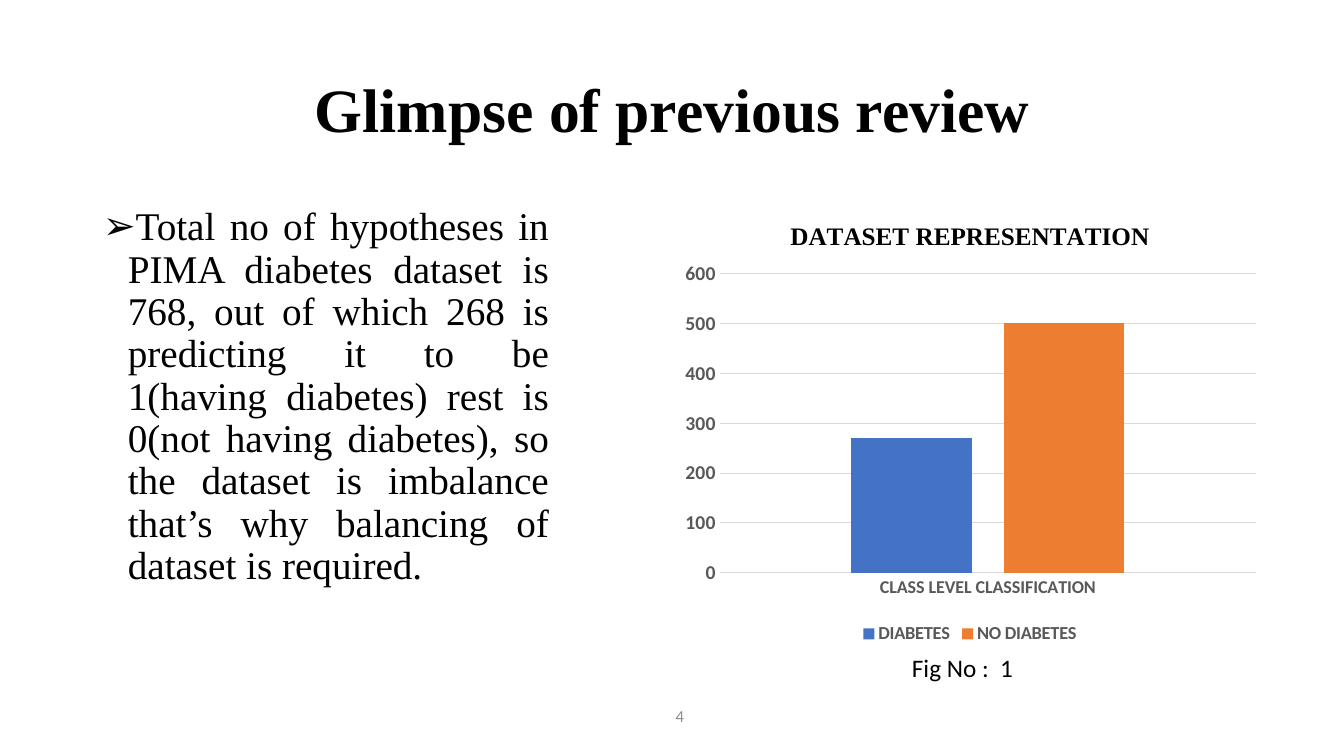
from lxml.etree import SubElement as Sub
from pptx import Presentation
from pptx.chart.data import CategoryChartData as Data
from pptx.dml.color import RGBColor as RGB
from pptx.enum.chart import XL_CHART_TYPE as Kind, XL_LEGEND_POSITION as Spot, XL_TICK_MARK as Tick
from pptx.enum.text import MSO_ANCHOR as Anchor, MSO_AUTO_SIZE as Fit, PP_ALIGN as Align
from pptx.oxml import parse_xml
from pptx.oxml.ns import nsdecls, qn
from pptx.util import Emu, Pt

SERIF, SANS = "Times New Roman", "Calibri"
GREY, RULE = "595959", "D9D9D9"

TITLE = "Glimpse of previous review"
BODY = (
    "Total no of hypotheses in PIMA diabetes dataset is 768, out of which 268 is "
    "predicting it to be 1(having diabetes) rest is 0(not having diabetes), so the "
    "dataset is imbalance that’s why balancing of dataset is required."
)
PAGE = "4"
FIG = "Fig No :  1"
HEAD = "DATASET REPRESENTATION"
GROUP = "CLASS LEVEL CLASSIFICATION"
BARS = [("DIABETES", 270, "4472C4"), ("NO DIABETES", 500, "ED7D31")]

SIZE = (1344, 756)
BOXES = {
    "title": (93, 40, 1159, 146),
    "body": (93, 202, 466, 480),
    "page": (529, 696, 302, 40),
    "chart": (672, 202, 596, 447),
    "fig": (782, 647, 361, 40),
}
PLOT = (718, 274, 537, 301)


def px(n):
    return Emu(round(n * 914400 / 100.8))


def area(name):
    return [px(n) for n in BOXES[name]]


def color(code):
    return RGB.from_string(code)


def style(font, size, face=SANS, ink="000000", bold=False):
    font.size, font.name, font.bold = Pt(size), face, bold
    font.color.rgb = color(ink)


def write(shape, text, align=Align.CENTER, anchor=Anchor.TOP, gap=1.0, above=0, **look):
    frame = shape.text_frame
    frame.word_wrap, frame.auto_size = True, Fit.NONE
    frame.vertical_anchor = anchor
    para = frame.paragraphs[0]
    para.alignment, para.line_spacing, para.space_before = align, gap, Pt(above)
    run = para.add_run()
    run.text = text
    style(run.font, **look)
    return para


def bullet(para, mark, indent):
    props = para._p.get_or_add_pPr()
    props.set("marL", str(indent))
    props.set("indent", str(-indent))
    Sub(props, qn("a:buFont"), typeface="Wingdings")
    props[-1].set("typeface", "Arial")
    Sub(props, qn("a:buChar"), char=mark)


def place(chart):
    left, top, wide, high = BOXES["chart"]
    x, y, w, h = PLOT
    parts = {"x": (x - left) / wide, "y": (y - top) / high, "w": w / wide, "h": h / high}
    vals = "".join(f'<c:{key} val="{val:.2f}"/>' for key, val in parts.items())
    node = parse_xml(
        f'<c:layout {nsdecls("c")}><c:manualLayout><c:layoutTarget val="inner"/>'
        f'<c:xMode val="edge"/><c:yMode val="edge"/>{vals}</c:manualLayout></c:layout>'
    )
    plot = chart._chartSpace.chart.plotArea
    for old in plot.findall(qn("c:layout")):
        plot.remove(old)
    plot.insert(0, node)


def draw(slide):
    data = Data()
    data.categories = [GROUP]
    for name, val, _ in BARS:
        data.add_series(name, [val])
    chart = slide.shapes.add_chart(Kind.COLUMN_CLUSTERED, *area("chart"), data).chart
    style(chart.font, 10)

    chart.has_title = True
    run = chart.chart_title.text_frame.paragraphs[0].add_run()
    run.text = HEAD
    style(run.font, 18, SERIF, bold=True)
    chart.chart_title.include_in_layout = False

    chart.has_legend = True
    chart.legend.position, chart.legend.include_in_layout = Spot.BOTTOM, False
    style(chart.legend.font, 13.1, ink=GREY, bold=True)

    cat, val = chart.category_axis, chart.value_axis
    val.minimum_scale, val.maximum_scale, val.major_unit = 0, 600, 100
    val.has_major_gridlines = True
    for axis, size in ((cat, 12.9), (val, 14)):
        axis.major_tick_mark = axis.minor_tick_mark = Tick.NONE
        style(axis.tick_labels.font, size, ink=GREY, bold=True)
    for line in (cat.format.line, val.major_gridlines.format.line):
        line.color.rgb, line.width = color(RULE), Pt(0.75)
    val.format.line.fill.background()

    plot = chart.plots[0]
    plot.gap_width, plot.overlap, plot.vary_by_categories = 219, -27, False
    for bar, (_, _, tint) in zip(plot.series, BARS):
        bar.format.fill.solid()
        bar.format.fill.fore_color.rgb = color(tint)
    place(chart)


def main():
    deck = Presentation()
    deck.slide_width, deck.slide_height = [px(n) for n in SIZE]
    slide = deck.slides.add_slide(deck.slide_layouts[5])

    title = slide.shapes.title
    title.left, title.top, title.width, title.height = area("title")
    write(title, TITLE, anchor=Anchor.MIDDLE, gap=0.9, size=44, face=SERIF, bold=True)

    body = slide.shapes.add_textbox(*area("body"))
    para = write(body, BODY, align=Align.JUSTIFY, gap=0.9, above=10, size=28, face=SERIF)
    bullet(para, "➢", px(25))

    page = slide.shapes.add_textbox(*area("page"))
    write(page, PAGE, anchor=Anchor.MIDDLE, size=12, ink="8C8C8C")
    draw(slide)
    write(slide.shapes.add_textbox(*area("fig")), FIG, size=18)
    deck.save("out.pptx")


if __name__ == "__main__":
    main()
